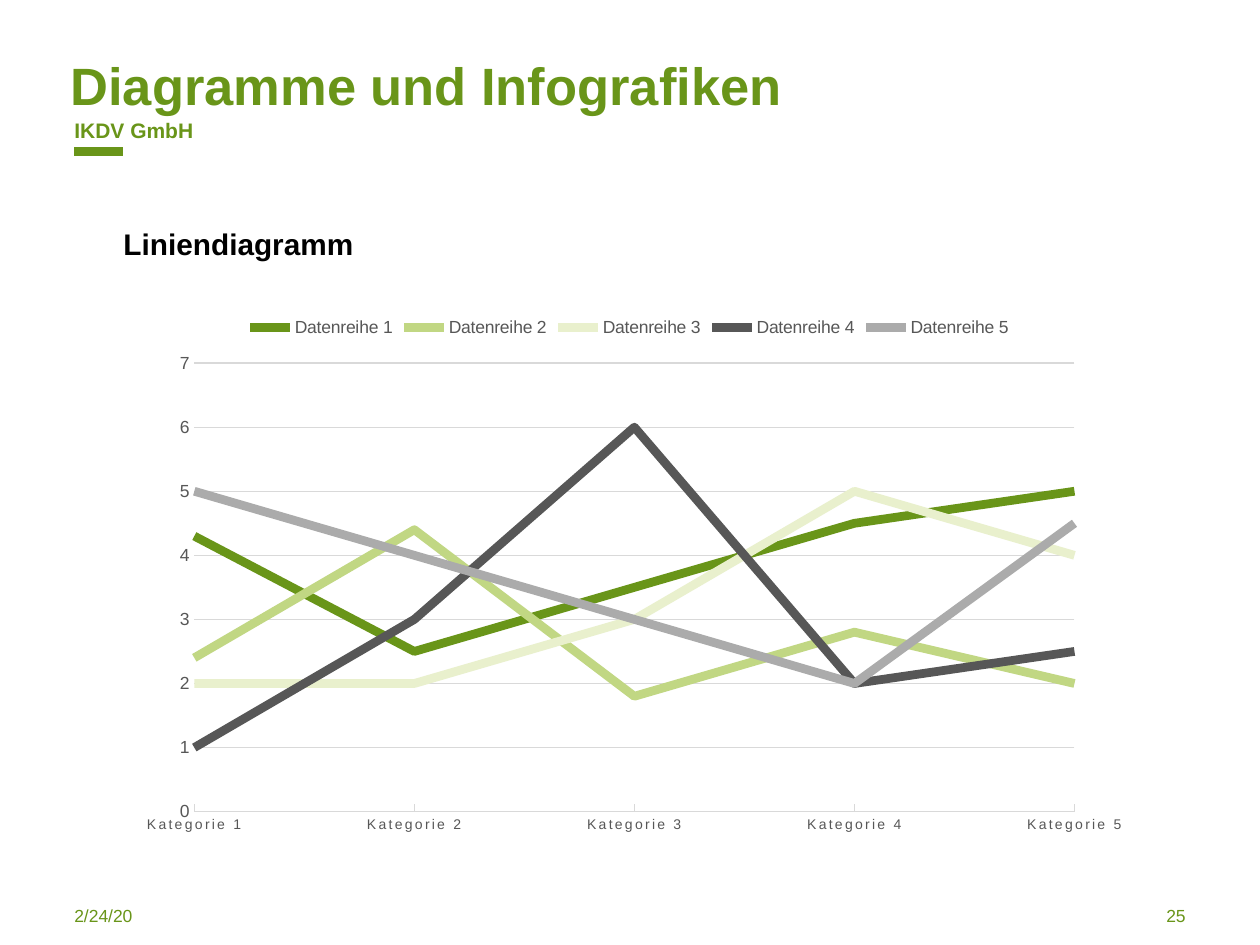
from lxml.etree import SubElement
from pptx import Presentation
from pptx.chart.data import CategoryChartData
from pptx.dml.color import RGBColor
from pptx.enum.chart import XL_CHART_TYPE, XL_LEGEND_POSITION, XL_TICK_MARK
from pptx.enum.shapes import MSO_CONNECTOR
from pptx.enum.text import MSO_ANCHOR, PP_ALIGN
from pptx.oxml import parse_xml
from pptx.oxml.ns import nsdecls, qn
from pptx.util import Inches, Pt

GREEN, GREY, RULE = "699519", "575757", "D9D9D9"
SERIES = [
    ("699519", (4.3, 2.5, 3.5, 4.5, 5)),
    ("C1D783", (2.4, 4.4, 1.8, 2.8, 2)),
    ("E9F0CD", (2, 2, 3, 5, 4)),
    ("575757", (1, 3, 6, 2, 2.5)),
    ("ABABAB", (5, 4, 3, 2, 4.5)),
]


def color(code):
    return RGBColor.from_string(code)


def style(font, size, code, bold=False):
    font.name = "Arial"
    font.size = Pt(size)
    font.bold = bold
    font.color.rgb = color(code)


def stroke(line, code, width):
    line.color.rgb = color(code)
    line.width = Pt(width)


def write(shape, text, size, code, bold=False,
          align=PP_ALIGN.LEFT, anchor=MSO_ANCHOR.TOP):
    frame = shape.text_frame
    frame.word_wrap = True
    frame.vertical_anchor = anchor
    frame.margin_left = frame.margin_right = 0
    frame.margin_top = frame.margin_bottom = 0
    para = frame.paragraphs[0]
    para.alignment = align
    run = para.add_run()
    run.text = text
    style(run.font, size, code, bold)


def add_label(slide, box, *args, **opts):
    shape = slide.shapes.add_textbox(*map(Inches, box))
    write(shape, *args, **opts)


def add_title(slide, box, text):
    title = slide.shapes.title
    title.left, title.top, title.width, title.height = map(Inches, box)
    write(title, text, 30, GREEN, bold=True)


def add_bar(slide, left, right, top):
    ends = map(Inches, (left, top, right, top))
    bar = slide.shapes.add_connector(MSO_CONNECTOR.STRAIGHT, *ends)
    stroke(bar.line, GREEN, 5)
    SubElement(bar._element.spPr, qn("a:effectLst"))


def set_axes(chart):
    value = chart.value_axis
    value.minimum_scale, value.maximum_scale, value.major_unit = 0, 7, 1
    value.major_tick_mark = XL_TICK_MARK.NONE
    value.format.line.fill.background()
    stroke(value.major_gridlines.format.line, RULE, 0.75)
    style(value.tick_labels.font, 10, GREY)

    cats = chart.category_axis
    cats.major_tick_mark = XL_TICK_MARK.INSIDE
    stroke(cats.format.line, RULE, 0.75)
    style(cats.tick_labels.font, 8, GREY)
    # Wide letter spacing, and lines that start on the value axis
    cats._element.find(".//" + qn("a:defRPr")).set("spc", "120")
    for old in value._element.findall(qn("c:crossBetween")):
        value._element.remove(old)
    value._element.find(qn("c:crosses")).addnext(
        parse_xml(f'<c:crossBetween {nsdecls("c")} val="midCat"/>'))


def set_plot(chart, left, top, width, height):
    # Inner plot area as shares of the chart frame
    area = chart._chartSpace.chart.plotArea
    for old in area.findall(qn("c:layout")):
        area.remove(old)
    parts = zip("xywh", (left, top, width, height))
    sizes = "".join(f'<c:{key} val="{share}"/>' for key, share in parts)
    area.insert(0, parse_xml(
        f'<c:layout {nsdecls("c")}><c:manualLayout>'
        '<c:layoutTarget val="inner"/>'
        '<c:xMode val="edge"/><c:yMode val="edge"/>'
        f'{sizes}</c:manualLayout></c:layout>'))


def add_lines(slide, box):
    data = CategoryChartData()
    data.categories = [f"Kategorie {i}" for i in range(1, 6)]
    for i, (_, vals) in enumerate(SERIES, 1):
        data.add_series(f"Datenreihe {i}", vals)
    chart = slide.shapes.add_chart(
        XL_CHART_TYPE.LINE, *map(Inches, box), data).chart
    chart.has_title = False
    style(chart.font, 10, "000000")

    chart.has_legend = True
    chart.legend.position = XL_LEGEND_POSITION.TOP
    chart.legend.include_in_layout = False
    style(chart.legend.font, 10, GREY)

    plot = chart.plots[0]
    plot.vary_by_categories = False
    for line, (code, _) in zip(plot.series, SERIES):
        line.smooth = False
        stroke(line.format.line, code, 5)
    set_axes(chart)
    set_plot(chart, 0.07, 0.11, 0.87, 0.83)


def main():
    deck = Presentation()
    deck.slide_width, deck.slide_height = Inches(10), Inches(7.5)
    slide = deck.slides.add_slide(deck.slide_layouts[5])

    # Header
    add_title(slide, (0.56, 0.42, 7.38, 0.5), "Diagramme und Infografiken")
    add_label(slide, (0.59, 0.93, 4.41, 0.2), "IKDV GmbH", 12, GREEN,
              bold=True, anchor=MSO_ANCHOR.BOTTOM)
    add_bar(slide, 0.59, 0.98, 1.2)

    # Content
    add_label(slide, (0.98, 1.79, 8.03, 0.29), "Liniendiagramm", 17,
              "000000", bold=True)
    add_lines(slide, (0.98, 2.41, 8.03, 4.29))

    # Footer
    add_label(slide, (0.59, 7.18, 2.24, 0.25), "2/24/20", 10, GREEN)
    add_label(slide, (7.17, 7.18, 2.24, 0.25), "25", 10, GREEN,
              align=PP_ALIGN.RIGHT)
    deck.save("out.pptx")


if __name__ == "__main__":
    main()
